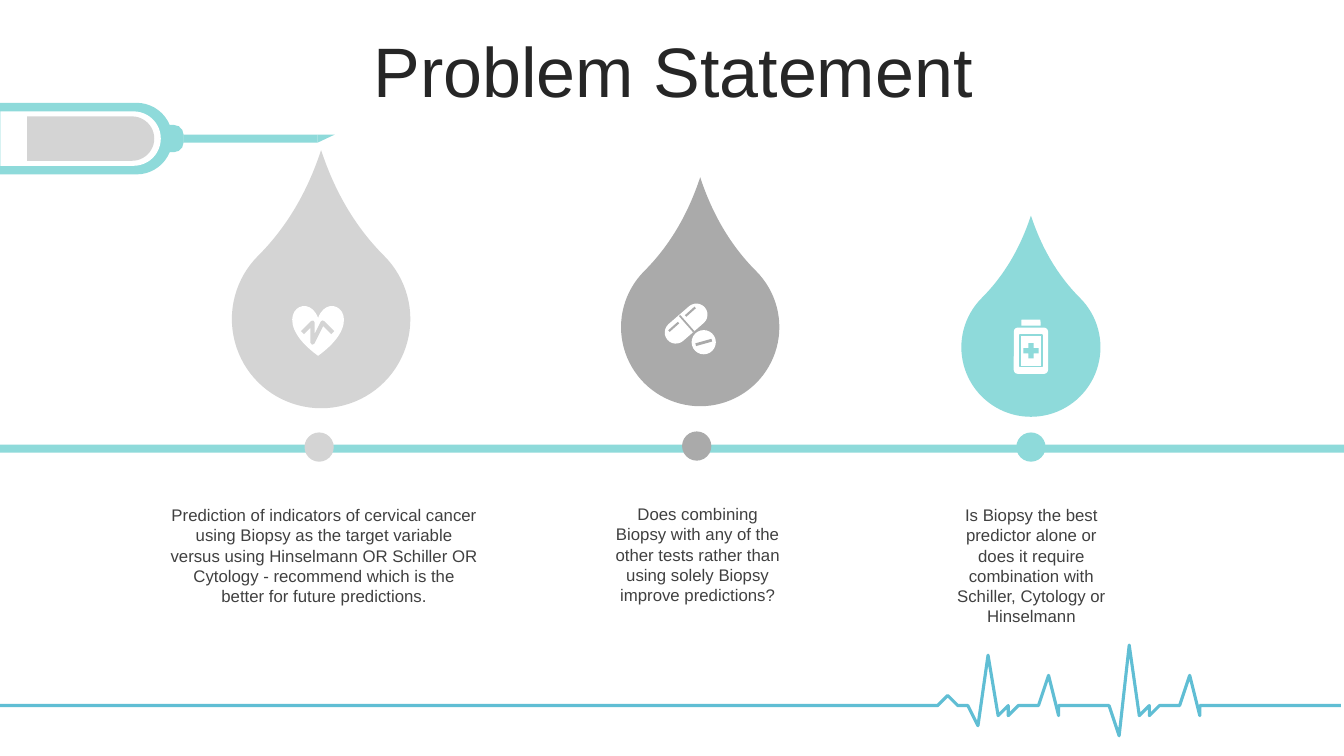
from dataclasses import dataclass

import lxml.etree
import pptx
import pptx.dml.color
import pptx.enum.shapes
import pptx.enum.text
import pptx.oxml.ns
import pptx.util

SHAPE = pptx.enum.shapes.MSO_SHAPE
ANCHOR = pptx.enum.text.MSO_ANCHOR
COLORS = {"teal": "8EDADA", "silver": "D4D4D4", "gray": "AAAAAA", "white": "FFFFFF",
          "pulse": "60BED4", "title": "262626", "body": "404040"}
FONT = "Arial"

prs = pptx.Presentation()
prs.slide_width, prs.slide_height = pptx.util.Inches(13.33), pptx.util.Inches(7.5)
s = prs.slides.add_slide(prs.slide_layouts[6])

# Square grid: 133.3 columns by 75 rows
COLS, ROWS = 133.3, 75
CELL = prs.slide_height / ROWS


@dataclass
class Step:
    color: str
    drop_x: float
    drop_y: float
    drop_size: float
    dot_x: float
    dot_y: float
    text_left: float
    text_top: float
    text_width: float
    text_height: float
    text: str


@dataclass
class Part:
    """A shape given by its centre and its size before rotation."""
    kind: SHAPE
    x: float
    y: float
    w: float
    h: float
    color: str = "white"
    rotation: float = 0
    adjust: tuple[float, ...] = ()


@dataclass
class Stroke:
    x1: float
    y1: float
    x2: float
    y2: float
    color: str
    width: float


def grid(cells: float) -> int:
    return round(cells * CELL)


def rgb(name: str) -> pptx.dml.color.RGBColor:
    return pptx.dml.color.RGBColor.from_string(COLORS[name])


def draw_part(part: Part):
    sp = s.shapes.add_shape(part.kind, grid(part.x - part.w / 2), grid(part.y - part.h / 2),
                            grid(part.w), grid(part.h))
    sp.shadow.inherit = False
    sp.rotation = part.rotation
    for i, value in enumerate(part.adjust):
        sp.adjustments[i] = value
    sp.fill.solid()
    sp.fill.fore_color.rgb = rgb(part.color)
    sp.line.fill.background()
    return sp


def draw_stroke(stroke: Stroke) -> None:
    c = s.shapes.add_connector(pptx.enum.shapes.MSO_CONNECTOR.STRAIGHT, grid(stroke.x1),
                               grid(stroke.y1), grid(stroke.x2), grid(stroke.y2))
    c.line.color.rgb = rgb(stroke.color)
    c.line.width = pptx.util.Pt(stroke.width)
    lxml.etree.SubElement(c._element.spPr, pptx.oxml.ns.qn("a:effectLst"))


def draw_polyline(points: list[tuple[float, float]], color: str, width: float) -> None:
    builder = s.shapes.build_freeform(*points[0], scale=CELL)
    builder.add_line_segments(points[1:], close=False)
    sp = builder.convert_to_shape()
    sp.shadow.inherit = False
    sp.fill.background()
    sp.line.color.rgb = rgb(color)
    sp.line.width = pptx.util.Pt(width)


def add_text(text: str, left: float, top: float, width: float, height: float, *,
             size: float, color: str, anchor: ANCHOR = ANCHOR.TOP,
             spacing: float | None = None) -> None:
    tf = s.shapes.add_textbox(grid(left), grid(top), grid(width), grid(height)).text_frame
    tf.word_wrap = True
    tf.vertical_anchor = anchor
    p = tf.paragraphs[0]
    p.alignment = pptx.enum.text.PP_ALIGN.CENTER
    p.line_spacing = spacing
    r = p.add_run()
    r.text = text
    r.font.name = FONT
    r.font.size = pptx.util.Pt(size)
    r.font.color.rgb = rgb(color)


def draw_heart_icon() -> None:
    draw_part(Part(SHAPE.HEART, 31.55, 32.8, 5.1, 5))
    draw_polyline([(29.9, 33.35), (30.5, 33.35), (31, 32.2), (31.4, 33.6),
                   (31.95, 31.9), (32.6, 33.35), (33.15, 33.35)], "silver", 3)


def draw_pills_icon() -> None:
    draw_part(Part(SHAPE.ROUNDED_RECTANGLE, 68.05, 32.1, 4.9, 2.2, rotation=-41, adjust=(0.5,)))
    draw_part(Part(SHAPE.OVAL, 69.8, 33.95, 2.4, 2.4))
    for stroke in (Stroke(67.4, 31.3, 68.8, 32.9, "gray", 1.25),
                   Stroke(66.35, 32.85, 67.3, 32, "gray", 1.5),
                   Stroke(68, 31.35, 68.95, 30.5, "gray", 1.5),
                   Stroke(69, 34.2, 70.6, 33.75, "gray", 2)):
        draw_stroke(stroke)


def draw_bottle_icon() -> None:
    x, label_y = 102.25, 34.8
    draw_part(Part(SHAPE.ROUND_2_SAME_RECTANGLE, x, 32, 1.9, 0.6))
    draw_part(Part(SHAPE.ROUNDED_RECTANGLE, x, label_y, 3.4, 4.6, adjust=(0.12,)))
    label = draw_part(Part(SHAPE.RECTANGLE, x, label_y, 2.2, 3.15))
    label.line.color.rgb = rgb("teal")
    label.line.width = pptx.util.Pt(1.25)
    draw_part(Part(SHAPE.CROSS, x, label_y, 1.5, 1.5, "teal", adjust=(0.33,)))


STEPS = [
    Step("silver", 31.85, 31.65, 17.7, 31.65, 44.35, 15.9, 49.6, 32.5, 11.1,
         "Prediction of indicators of cervical cancer using Biopsy as the target variable "
         "versus using Hinselmann OR Schiller OR Cytology - recommend which is the better "
         "for future predictions."),
    Step("gray", 69.45, 32.45, 15.7, 69.1, 44.25, 59.9, 49.5, 18.6, 11.1,
         "Does combining Biopsy with any of the other tests rather than using solely Biopsy "
         "improve predictions?"),
    Step("teal", 102.25, 34.45, 13.8, 102.25, 44.35, 93, 49.6, 18.6, 13.1,
         "Is Biopsy the best predictor alone or does it require combination with Schiller, "
         "Cytology or Hinselmann"),
]
ROUND_END = SHAPE.ROUND_2_SAME_RECTANGLE
SYRINGE_Y = 13.75
SYRINGE = [
    Part(ROUND_END, 8.55, SYRINGE_Y, 7.1, 17.1, "teal", 90, (0.5, 0)),
    Part(ROUND_END, 8, SYRINGE_Y, 5.4, 15.9, "white", 90, (0.5, 0)),
    Part(ROUND_END, 17.25, SYRINGE_Y, 2.7, 1.9, "teal", 90, (0.5, 0)),
    Part(SHAPE.RECTANGLE, 24.85, SYRINGE_Y, 13.3, 0.8, "teal"),
    Part(SHAPE.RIGHT_TRIANGLE, 32.35, SYRINGE_Y, 0.8, 1.7, "teal", 90),
    Part(ROUND_END, 9, SYRINGE_Y, 4.4, 12.6, "silver", 90, (0.5, 0)),
]
HEARTBEAT = [
    (0, 70.1), (93.4, 70), (94.1, 68.9), (94.8, 70), (96.4, 70), (97.1, 72.2), (98, 65.1),
    (98.8, 71.2), (99.5, 69.8), (100.1, 70.9), (100.7, 70), (102.7, 70), (103.8, 66.9),
    (104.6, 71.4), (105.3, 70), (110.5, 70), (111, 72.6), (112.3, 63.9), (113.4, 70.9),
    (113.9, 69.8), (114.5, 71.2), (114.8, 70), (116.8, 70), (117.7, 66.9), (118.6, 70.9),
    (119.2, 70), (COLS, 69.9),
]


def main() -> None:
    draw_polyline(HEARTBEAT, "pulse", 2.25)
    add_text("Problem Statement", 3.5, 3.7, 126.6, 7.9, size=50, color="title",
             anchor=ANCHOR.MIDDLE, spacing=0.8)
    for part in SYRINGE:
        draw_part(part)
    draw_part(Part(SHAPE.RECTANGLE, COLS / 2, 44.5, COLS, 0.8, "teal"))
    for step in STEPS:
        draw_part(Part(SHAPE.TEAR, step.drop_x, step.drop_y, step.drop_size, step.drop_size,
                       step.color, 315, (1.339,)))
        draw_part(Part(SHAPE.OVAL, step.dot_x, step.dot_y, 2.9, 2.9, step.color))
        add_text(step.text, step.text_left, step.text_top, step.text_width, step.text_height,
                 size=12, color="body")
    draw_heart_icon()
    draw_pills_icon()
    draw_bottle_icon()
    prs.save("out.pptx")


if __name__ == "__main__":
    main()
